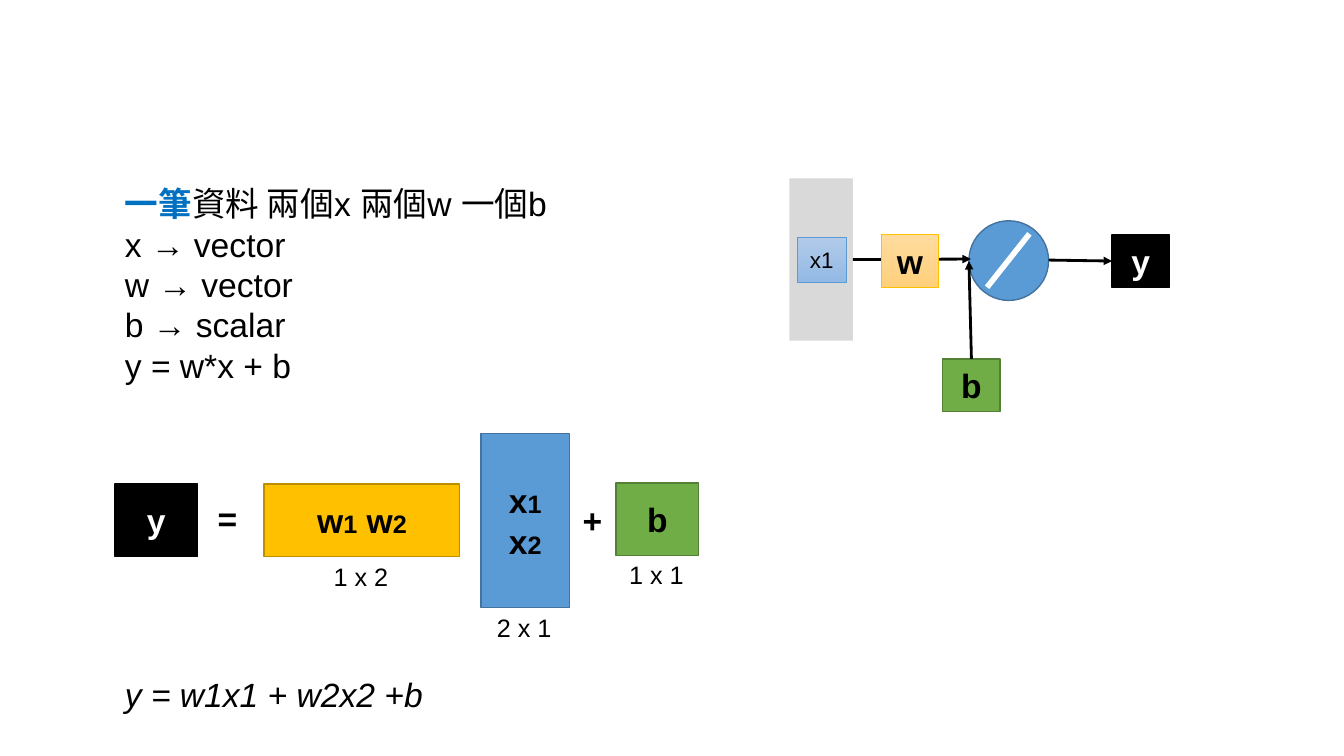
"""Build a slide that explains a single-sample linear unit with two inputs."""
from lxml import etree
from pptx import Presentation
from pptx.dml.color import RGBColor
from pptx.enum.shapes import MSO_CONNECTOR, MSO_SHAPE
from pptx.enum.text import MSO_ANCHOR, PP_ALIGN
from pptx.oxml.ns import qn
from pptx.util import Inches, Pt

RECTANGLE, OVAL = MSO_SHAPE.RECTANGLE, MSO_SHAPE.OVAL
STRAIGHT = MSO_CONNECTOR.STRAIGHT
MIDDLE, TOP = MSO_ANCHOR.MIDDLE, MSO_ANCHOR.TOP
CENTER, LEFT = PP_ALIGN.CENTER, PP_ALIGN.LEFT
TOP_SIDE, LEFT_SIDE, RIGHT_SIDE = 0, 1, 3

BLACK = RGBColor(0x00, 0x00, 0x00)
WHITE = RGBColor(0xFF, 0xFF, 0xFF)
GRAY = RGBColor(0xD9, 0xD9, 0xD9)
BLUE = RGBColor(0x5B, 0x9B, 0xD5)
BLUE_EDGE = RGBColor(0x43, 0x73, 0x9E)
ACCENT = RGBColor(0x00, 0x70, 0xC0)
GOLD = RGBColor(0xFF, 0xC0, 0x00)
GOLD_EDGE = RGBColor(0xBD, 0x8E, 0x00)
GREEN = RGBColor(0x70, 0xAD, 0x47)
GREEN_EDGE = RGBColor(0x53, 0x80, 0x35)
PALE_BLUE = (RGBColor(0xB1, 0xCB, 0xE9), RGBColor(0x93, 0xB9, 0xE4))
PALE_GOLD = (RGBColor(0xFF, 0xDB, 0x9E), RGBColor(0xFF, 0xD0, 0x7C))


def styled(text, size=24, color=BLACK, bold=False, italic=False):
    """Return a piece of text together with its format."""
    return text, size, color, bold, italic


class Board:
    """Hold the style and the slide, and draw each kind of element."""

    font = "Arial"

    def __init__(self, slide):
        """Keep the slide to draw on."""
        self.slide = slide

    def fill_text(self, frame, lines, align, anchor, wrap):
        """Write lines, each a list of styled pieces, into a text frame."""
        frame.word_wrap = wrap
        frame.vertical_anchor = anchor
        for index, pieces in enumerate(lines):
            paragraph = frame.add_paragraph() if index else frame.paragraphs[0]
            paragraph.alignment = align
            for text, size, color, bold, italic in pieces:
                run = paragraph.add_run()
                run.text = text
                run.font.name = self.font
                run.font.size = Pt(size)
                run.font.color.rgb = color
                run.font.bold = bold
                run.font.italic = italic

    def block(self, place, fill, edge=None, lines=(), kind=RECTANGLE, weight=1):
        """Draw a filled shape; a pair of colours makes a vertical gradient."""
        shape = self.slide.shapes.add_shape(kind, *map(Inches, place))
        shape.shadow.inherit = False
        if isinstance(fill, RGBColor):
            shape.fill.solid()
            shape.fill.fore_color.rgb = fill
        else:
            shape.fill.gradient()
            shape.fill.gradient_angle = 270
            for stop, color in zip(shape.fill.gradient_stops, fill):
                stop.color.rgb = color
        if edge is None:
            shape.line.fill.background()
        else:
            shape.line.color.rgb = edge
            shape.line.width = Pt(weight)
        self.fill_text(shape.text_frame, lines, CENTER, MIDDLE, True)
        return shape

    def label(self, place, lines, wrap=False):
        """Draw a plain text box."""
        box = self.slide.shapes.add_textbox(*map(Inches, place))
        self.fill_text(box.text_frame, lines, LEFT, TOP, wrap)

    def line(self, start, end, color=BLACK, weight=2, arrow=True):
        """Draw a straight line, with an arrowhead at its end if wanted."""
        link = self.slide.shapes.add_connector(STRAIGHT, *map(Inches, start + end))
        link.line.color.rgb = color
        link.line.width = Pt(weight)
        if arrow:
            outline = link.line._get_or_add_ln()
            etree.SubElement(outline, qn("a:tailEnd"), type="triangle")
        etree.SubElement(link._element.spPr, qn("a:effectLst"))
        return link


def draw_equation(board):
    """Draw the matrix equation with its dimensions and expanded form."""
    def term(letter, number):
        return [styled(letter, bold=True), styled(number, size=18, bold=True)]

    board.block((4.77, 4.3, 0.88, 1.73), BLUE, BLUE_EDGE,
                [term("x", "1"), term("x", "2")])
    board.block((2.62, 4.8, 1.94, 0.72), GOLD, GOLD_EDGE,
                [term("w", "1") + term(" w", "2")])
    board.block((6.11, 4.79, 0.82, 0.72), GREEN, GREEN_EDGE,
                [[styled("b", bold=True)]])
    board.block((1.14, 4.8, 0.82, 0.72), BLACK, BLACK,
                [[styled("y", color=WHITE, bold=True)]])
    for sign, left, top in (("=", 2.06, 4.89), ("+", 5.68, 4.91)):
        board.label((left, top, 0.4, 0.5), [[styled(sign, bold=True)]])
    for shape_size, left, top in (("1 x 2", 3.21, 5.52), ("2 x 1", 4.83, 6.03),
                                  ("1 x 1", 6.14, 5.5)):
        board.label((left, top, 0.75, 0.4), [[styled(shape_size, size=18)]])
    board.label((1.14, 6.64, 3.19, 0.5),
                [[styled("y = w1x1 + w2x2 +b", italic=True)]])


def draw_summary(board):
    """Write what each symbol stands for."""
    facts = ("x → vector", "w → vector", "b → scalar", "y = w*x + b")
    heading = [styled("一筆", color=ACCENT, bold=True),
               styled("資料 兩個x 兩個w 一個b")]
    board.label((1.14, 1.77, 4.45, 2.12),
                [heading] + [[styled(fact)] for fact in facts], wrap=True)


def draw_neuron(board):
    """Draw the input, weight, bias, activation and output of the unit."""
    node_size = (0.57, 0.52)
    board.block((9.61, 2.19, 0.79, 0.79), BLUE, BLUE_EDGE, kind=OVAL)
    board.line((10.21, 2.32), (9.79, 2.85), WHITE, 4, arrow=False)
    inputs = board.block((7.83, 1.77, 0.63, 1.61), GRAY)
    board.block((7.91, 2.35, 0.48, 0.45), PALE_BLUE, BLUE,
                [[styled("x1", size=16)]], weight=0.5)
    input_arrow = board.line((8.46, 2.57), (9.63, 2.57))
    input_arrow.begin_connect(inputs, RIGHT_SIDE)
    bias = board.block((9.35, 3.56) + node_size, GREEN, GREEN_EDGE,
                       [[styled("b", bold=True)]])
    bias_arrow = board.line((9.63, 3.56), (9.61, 2.59))
    bias_arrow.begin_connect(bias, TOP_SIDE)
    board.block((8.74, 2.33) + node_size, PALE_GOLD, GOLD,
                [[styled("w", bold=True)]], weight=0.5)
    output = board.block((11.03, 2.33) + node_size, BLACK, BLACK,
                         [[styled("y", color=WHITE, bold=True)]])
    output_arrow = board.line((10.4, 2.58), (11.03, 2.59))
    output_arrow.end_connect(output, LEFT_SIDE)


def main():
    """Build the slide and save it."""
    deck = Presentation()
    deck.slide_width, deck.slide_height = Inches(13.33), Inches(7.5)
    board = Board(deck.slides.add_slide(deck.slide_layouts[6]))
    draw_equation(board)
    draw_summary(board)
    draw_neuron(board)
    deck.save("out.pptx")


if __name__ == "__main__":
    main()
